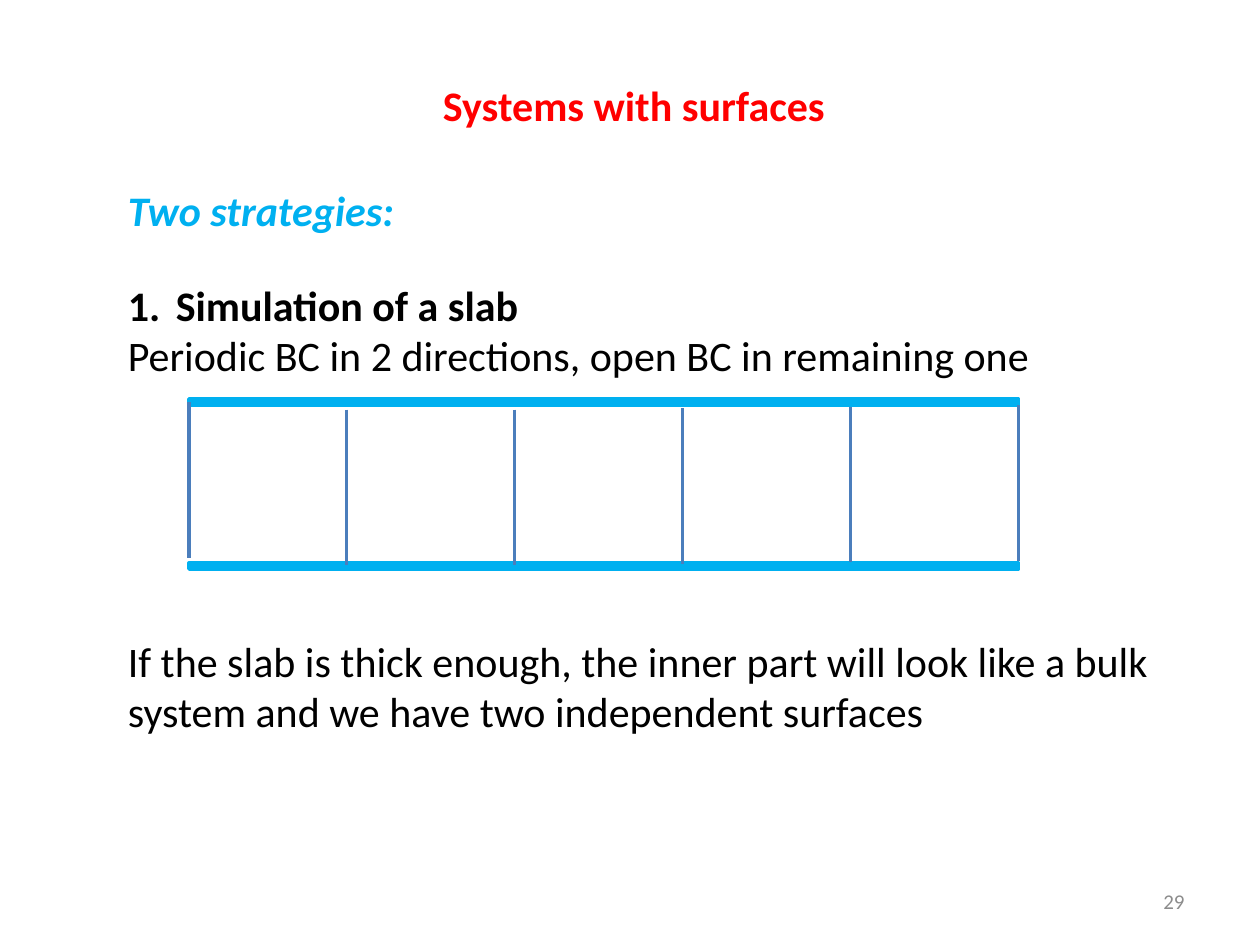
from dataclasses import dataclass
from lxml.etree import SubElement
from pptx import Presentation
from pptx.dml.color import RGBColor
from pptx.enum.shapes import MSO_CONNECTOR, MSO_SHAPE
from pptx.enum.text import MSO_ANCHOR, PP_ALIGN
from pptx.oxml.ns import qn
from pptx.util import Inches, Pt


@dataclass(frozen=True)
class Theme:
    """Colours, type and line sizes."""
    font: str = "Calibri"
    ink: str = "000000"
    red: str = "FF0000"
    cyan: str = "00B0F0"
    blue: str = "4B7EBC"
    gray: str = "8C8C8C"
    body: int = 24
    small: int = 12
    edge: float = 2
    wall: float = 2.25


THEME = Theme()
COLS, ROWS = 120, 90
WIDE, HIGH = Inches(10), Inches(7.5)


def across(cols):
    """Turn grid columns into a length."""
    return round(WIDE * cols / COLS)


def down(rows):
    """Turn grid rows into a length."""
    return round(HIGH * rows / ROWS)


def place(box):
    """Turn a grid box into left, top, width and height."""
    left, top, width, height = box
    return across(left), down(top), across(width), down(height)


def style(para, color, size=THEME.body, bold=False, slant=False):
    """Set the font of each run in a paragraph."""
    for run in para.runs:
        font = run.font
        font.name, font.size = THEME.font, Pt(size)
        font.bold, font.italic = bold, slant
        font.color.rgb = RGBColor.from_string(color)


def label(slide, box, text, color, wrap=False, **look):
    """Place one line of text and return its frame."""
    frame = slide.shapes.add_textbox(*place(box)).text_frame
    frame.word_wrap = wrap
    frame.text = text
    style(frame.paragraphs[0], color, **look)
    return frame


def number(para):
    """Give a paragraph a hanging automatic number."""
    props = para._p.get_or_add_pPr()
    props.set("marL", str(Inches(0.38)))
    props.set("indent", str(Inches(-0.38)))
    SubElement(props, qn("a:buFont"), typeface="+mj-lt")
    SubElement(props, qn("a:buAutoNum"), type="arabicPeriod")


def body(slide, box):
    """Place the numbered strategy with room for the slab."""
    frame = label(slide, box, "Simulation of a slab", THEME.ink, wrap=True, bold=True)
    number(frame.paragraphs[0])
    lines = [
        ("Periodic BC in 2 directions, open BC in remaining one", 0),
        ("If the slab is thick enough, the inner part will look like a bulk "
         "system and we have two independent surfaces", 146),
    ]
    for text, gap in lines:
        para = frame.add_paragraph()
        para.text = text
        para.space_before = Pt(gap)
        style(para, THEME.ink)


def bar(slide, box):
    """Draw one open surface of the slab."""
    shape = slide.shapes.add_shape(MSO_SHAPE.RECTANGLE, *place(box))
    shape.shadow.inherit = False
    color = RGBColor.from_string(THEME.cyan)
    shape.fill.solid()
    shape.fill.fore_color.rgb = color
    shape.line.color.rgb = color
    shape.line.width = Pt(THEME.edge)


def wall(slide, col, top, rows):
    """Draw one upright cell wall."""
    line = slide.shapes.add_connector(
        MSO_CONNECTOR.STRAIGHT, across(col), down(top), across(col), down(top + rows))
    line.line.color.rgb = RGBColor.from_string(THEME.blue)
    line.line.width = Pt(THEME.wall)
    SubElement(line._element.spPr, qn("a:effectLst"))


def slab(slide, box):
    """Draw two surfaces and the periodic cells between them."""
    left, top, width, height = box
    thick, cell = 0.6, 16
    for row in (top, top + height - thick):
        bar(slide, (left, row, width, thick))
    drops = (0.3, 1, 1, 0.9, 0.75, 0.6)
    for step, drop in enumerate(drops):
        col = max(left, left + width - cell * (len(drops) - 1 - step))
        wall(slide, col, top + drop, 14.8)


def page(slide, box):
    """Place the page number."""
    frame = label(slide, box, "29", THEME.gray, wrap=True, size=THEME.small)
    frame.vertical_anchor = MSO_ANCHOR.MIDDLE
    frame.paragraphs[0].alignment = PP_ALIGN.RIGHT


def main():
    """Build the slide and save it."""
    deck = Presentation()
    deck.slide_width, deck.slide_height = WIDE, HIGH
    slide = deck.slides.add_slide(deck.slide_layouts[6])
    page(slide, (86, 83.4, 28, 4.8))
    label(slide, (41, 7, 39.2, 6), "Systems with surfaces", THEME.red, bold=True)
    label(slide, (11, 17, 28, 6), "Two strategies:", THEME.cyan, bold=True, slant=True)
    body(slide, (11, 26, 100, 44.9))
    slab(slide, (18, 38, 79, 16.2))
    deck.save("out.pptx")


if __name__ == "__main__":
    main()
